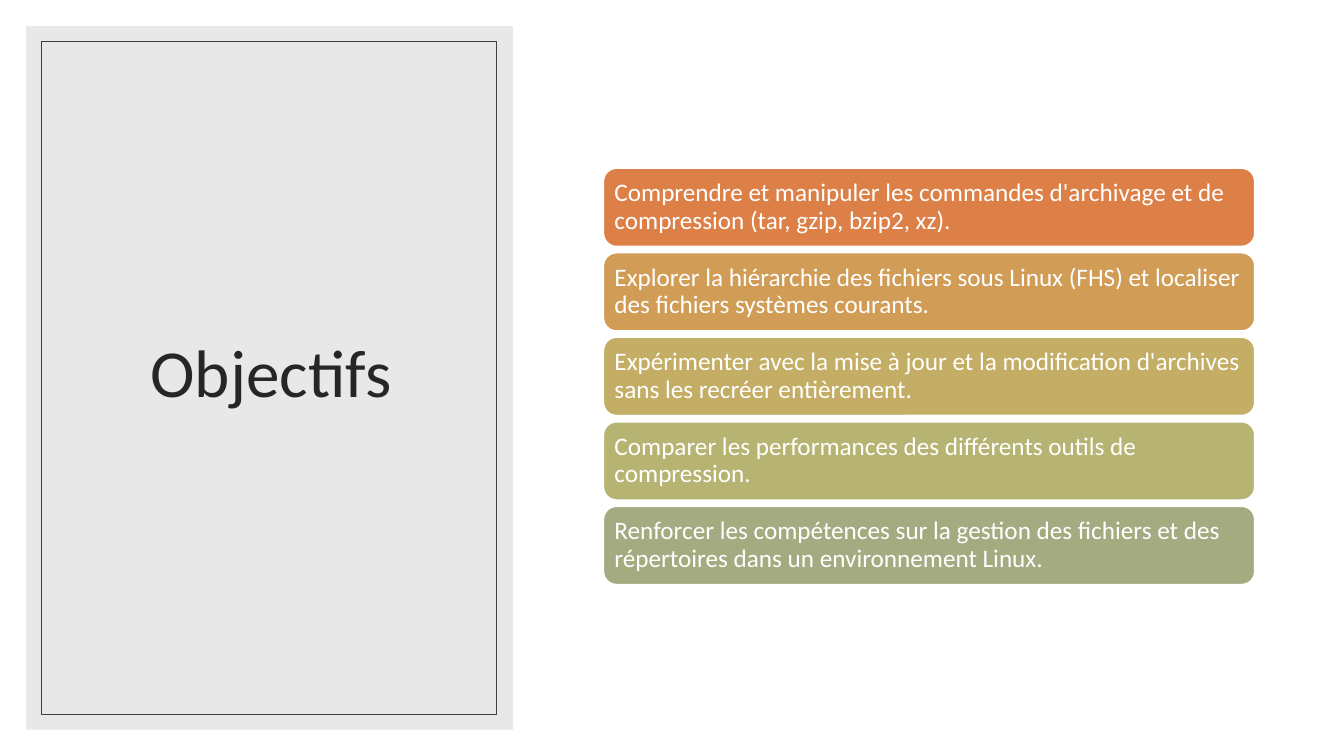
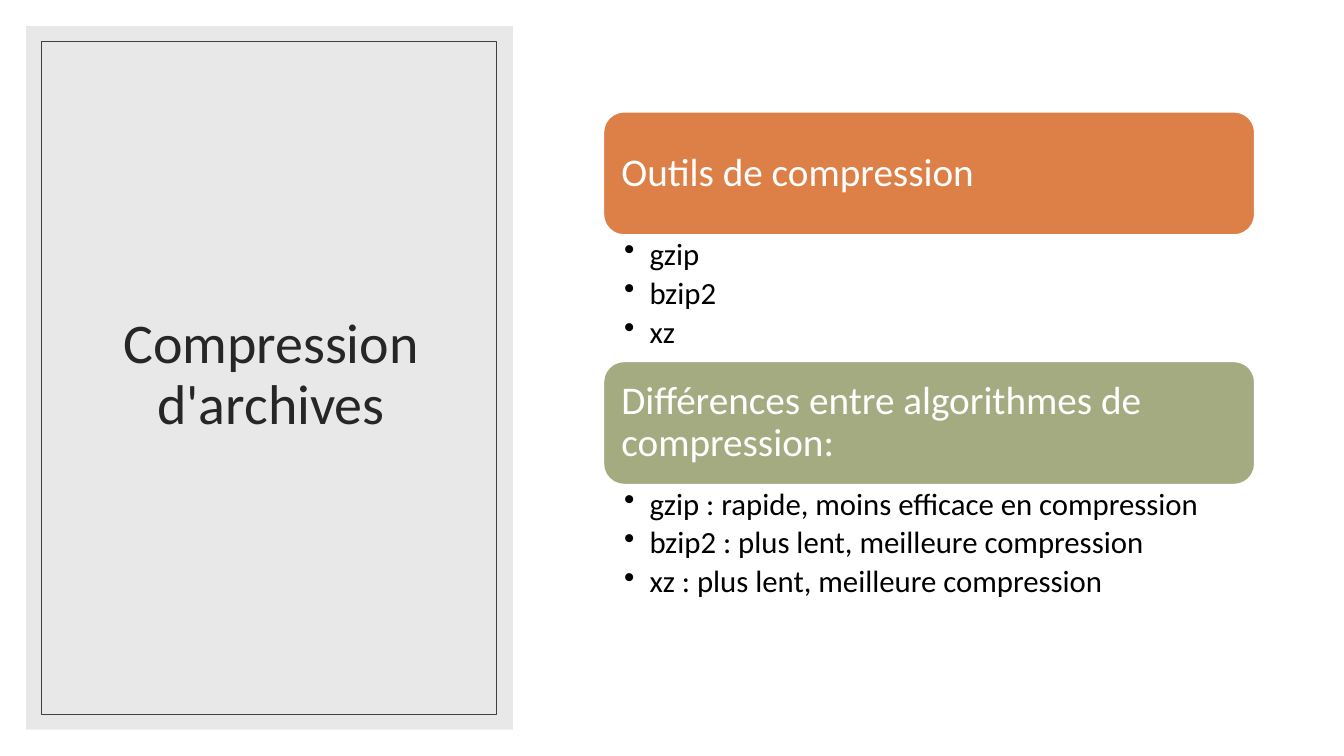
import pptx
import pptx.dml.color
import pptx.enum.shapes
import pptx.enum.text
import pptx.oxml.ns
import pptx.util
from lxml import etree

Cm = pptx.util.Cm
Pt = pptx.util.Pt
RGBColor = pptx.dml.color.RGBColor
Preset = pptx.enum.shapes.MSO_SHAPE
Align = pptx.enum.text.PP_ALIGN
Anchor = pptx.enum.text.MSO_ANCHOR
qn = pptx.oxml.ns.qn

FONT = "Calibri"
WHITE = RGBColor(0xFF, 0xFF, 0xFF)
BLACK = RGBColor(0, 0, 0)
PANEL_GRAY = RGBColor(0xD9, 0xD9, 0xD9)
FRAME_GRAY = RGBColor(0x40, 0x40, 0x40)
TITLE_GRAY = RGBColor(0x26, 0x26, 0x26)
ORANGE = RGBColor(0xDD, 0x80, 0x47)
AMBER = RGBColor(0xD0, 0x9C, 0x56)
GOLD = RGBColor(0xC4, 0xAD, 0x64)
OLIVE = RGBColor(0xB7, 0xB4, 0x73)
SAGE = RGBColor(0xA5, 0xAB, 0x81)

# Boxes are left, top, width, height in centimetres.
PANEL = (0.66, 0.66, 12.27, 17.73)
GOALS = (15.21, 4.24, 16.41, 10.49)
SECTIONS = (15.21, 2.82, 16.41, 13.34)


def place(box):
    return [Cm(length) for length in box]


def add_bullet(paragraph):
    properties = paragraph._p.get_or_add_pPr()
    properties.set("marL", str(Cm(0.64)))
    properties.set("indent", str(-Cm(0.64)))
    etree.SubElement(properties, qn("a:buChar")).set("char", "•")


def write_text(frame, lines, size, color, align=Align.LEFT, anchor=Anchor.MIDDLE,
               margins=(0.25, 0.13, 0.25, 0.13), bullet=False, space_after=0):
    """Fill a text frame, one paragraph a line; margins are left, top, right, bottom in cm."""
    frame.word_wrap = True
    frame.auto_size = pptx.enum.text.MSO_AUTO_SIZE.NONE
    frame.vertical_anchor = anchor
    (frame.margin_left, frame.margin_top,
     frame.margin_right, frame.margin_bottom) = place(margins)
    for index, line in enumerate(lines):
        paragraph = frame.add_paragraph() if index else frame.paragraphs[0]
        if bullet:
            add_bullet(paragraph)
        paragraph.alignment = align
        paragraph.line_spacing = 0.9
        paragraph.space_before = Pt(0)
        paragraph.space_after = Pt(space_after)
        run = paragraph.add_run()
        run.text = line
        run.font.name = FONT
        run.font.size = Pt(size)
        run.font.color.rgb = color


def add_box(slide, preset, box, fill=None, line=None, line_width=1):
    shape = slide.shapes.add_shape(preset, *place(box))
    shape.shadow.inherit = False
    if fill is None:
        shape.fill.background()
    else:
        shape.fill.solid()
        shape.fill.fore_color.rgb = fill
    if line is None:
        shape.line.fill.background()
    else:
        shape.line.color.rgb = line
        shape.line.width = Pt(line_width)
    return shape


def add_title_panel(slide, title, size, box=PANEL):
    """Place the gray panel, its thin frame and the slide title inside it."""
    left, top, width, height = box
    panel = add_box(slide, Preset.RECTANGLE, box, fill=PANEL_GRAY)
    color = panel.fill._xPr.find(".//" + qn("a:srgbClr"))
    etree.SubElement(color, qn("a:alpha")).set("val", "60000")

    heading = slide.shapes.title
    heading.left, heading.top, heading.width, heading.height = place(
        (left + 0.94, top + 0.89, width - 1.81, height - 1.88))
    write_text(heading.text_frame, [title], size, TITLE_GRAY, align=Align.CENTER)
    heading.element.addprevious(panel.element)

    inset = 0.38
    add_box(slide, Preset.RECTANGLE,
            (left + inset, top + inset, width - 0.81, height - 2 * inset),
            line=FRAME_GRAY, line_width=0.5)


def add_band(slide, text, box, fill, size, margin):
    band = add_box(slide, Preset.ROUNDED_RECTANGLE, box, fill=fill, line=WHITE)
    write_text(band.text_frame, [text], size, WHITE, margins=(margin,) * 4)


def add_goal_bands(slide, goals, box):
    """Stack equal bands that fill the box."""
    left, top, width, height = box
    gap = 0.16
    band_height = (height - gap * (len(goals) - 1)) / len(goals)
    for row, (text, fill) in enumerate(goals):
        add_band(slide, text,
                 (left, top + row * (band_height + gap), width, band_height),
                 fill, size=18, margin=0.18)


def add_sections(slide, sections, box):
    """Stack heading bands, each followed by its bulleted list."""
    left, top, width, height = box
    band_height = 3.1
    pitch = height / len(sections) - 0.38
    for row, (heading, fill, points) in enumerate(sections):
        band_top = top + row * pitch
        add_band(slide, heading, (left, band_top, width, band_height),
                 fill, size=28, margin=0.3)
        points_box = slide.shapes.add_textbox(
            *place((left, band_top + band_height, width, pitch - band_height)))
        write_text(points_box.text_frame, points, 22, BLACK, anchor=Anchor.TOP,
                   margins=(0.52, 0.1, 0.56, 0.1), bullet=True, space_after=4)


def add_slide(deck, title, title_size):
    slide = deck.slides.add_slide(deck.slide_layouts[5])
    add_title_panel(slide, title, title_size)
    return slide


def main():
    deck = pptx.Presentation()
    deck.slide_width, deck.slide_height = Cm(33.87), Cm(19.05)

    objectives = add_slide(deck, "Objectifs", 48)
    add_goal_bands(objectives, [
        ("Comprendre et manipuler les commandes d'archivage et de compression "
         "(tar, gzip, bzip2, xz).", ORANGE),
        ("Explorer la hiérarchie des fichiers sous Linux (FHS) et localiser "
         "des fichiers systèmes courants.", AMBER),
        ("Expérimenter avec la mise à jour et la modification d'archives "
         "sans les recréer entièrement.", GOLD),
        ("Comparer les performances des différents outils de compression.", OLIVE),
        ("Renforcer les compétences sur la gestion des fichiers et des "
         "répertoires dans un environnement Linux.", SAGE),
    ], GOALS)

    compression = add_slide(deck, "Compression d'archives", 40)
    add_sections(compression, [
        ("Outils de compression", ORANGE, ["gzip", "bzip2", "xz"]),
        ("Différences entre algorithmes de compression:", SAGE, [
            "gzip : rapide, moins efficace en compression",
            "bzip2 : plus lent, meilleure compression",
            "xz : plus lent, meilleure compression",
        ]),
    ], SECTIONS)

    deck.save("out.pptx")


if __name__ == "__main__":
    main()
